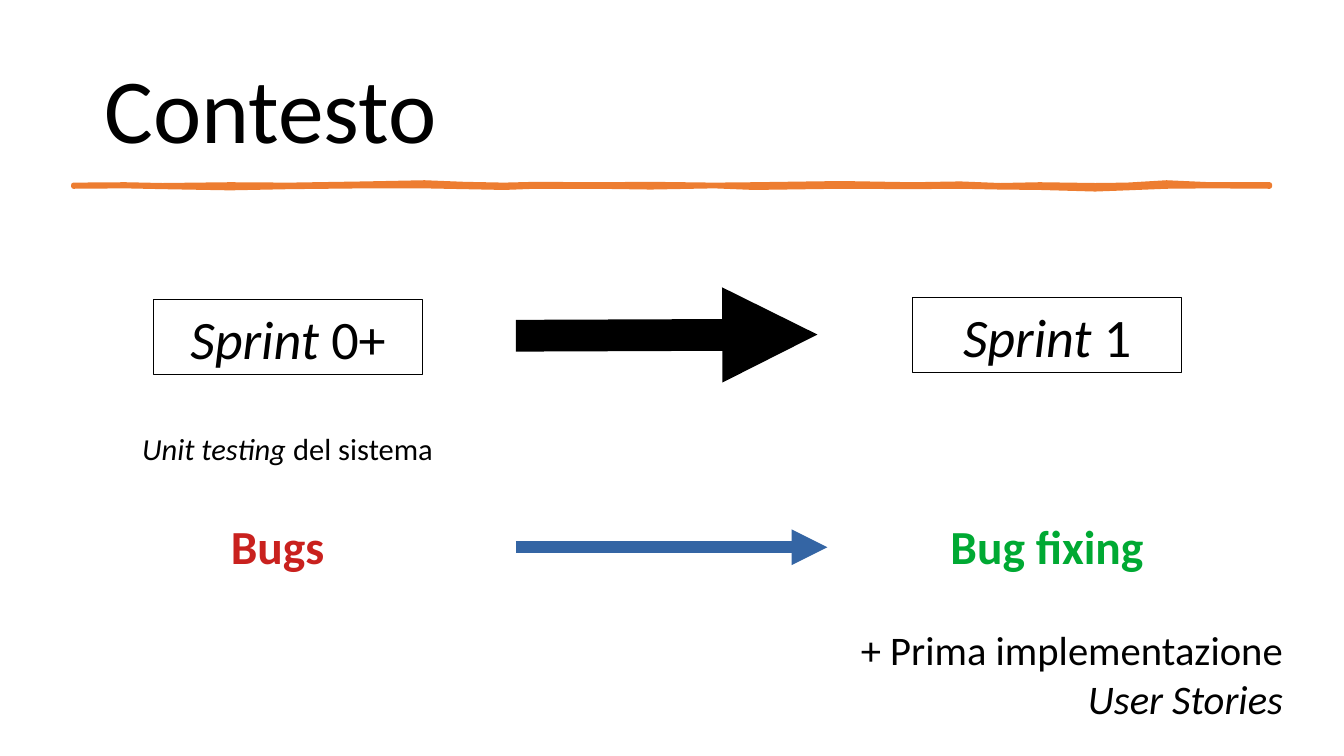
from lxml import etree
from pptx import Presentation
from pptx import util as u
from pptx.dml.color import RGBColor
from pptx.enum import shapes, text
from pptx.oxml.ns import qn

BLACK = RGBColor(0x00, 0x00, 0x00)
ORANGE = RGBColor(0xED, 0x7D, 0x31)
RED = RGBColor(0xC9, 0x21, 0x1E)
GREEN = RGBColor(0x00, 0xA9, 0x33)
BLUE = RGBColor(0x34, 0x65, 0xA4)

LEFT, CENTER, RIGHT = text.PP_ALIGN.LEFT, text.PP_ALIGN.CENTER, text.PP_ALIGN.RIGHT

# Hand-drawn rule under the title, in cm: x, upper edge, lower edge
WAVE = [
    (1.85, 4.66, 4.70), (3.15, 4.65, 4.69), (4.1, 4.67, 4.71), (5.8, 4.65, 4.74),
    (7.3, 4.66, 4.71), (9.2, 4.63, 4.69), (10.7, 4.60, 4.69), (11.7, 4.64, 4.71),
    (12.7, 4.66, 4.73), (13.5, 4.64, 4.70), (15.0, 4.65, 4.70), (16.4, 4.64, 4.72),
    (18.0, 4.66, 4.69), (19.0, 4.65, 4.73), (21.2, 4.62, 4.70), (23.0, 4.65, 4.71),
    (24.2, 4.63, 4.70), (25.2, 4.67, 4.72), (26.2, 4.65, 4.73), (27.6, 4.67, 4.77),
    (28.4, 4.66, 4.74), (29.4, 4.60, 4.70), (30.5, 4.65, 4.69), (32.0, 4.65, 4.70),
]


class Slide:
    """Current slide with its font and text margins."""

    font = "Calibri"
    margin_x, margin_y = u.Cm(0.3), u.Cm(0.15)

    def __init__(self, deck):
        self.shapes = deck.slides.add_slide(deck.slide_layouts[6]).shapes

    def put_text(self, box, parts, size, color, align, bold=False):
        """Fill a box with (text, italic) parts."""
        frame = box.text_frame
        frame.word_wrap = True
        frame.margin_left = frame.margin_right = self.margin_x
        frame.margin_top = frame.margin_bottom = self.margin_y
        frame.vertical_anchor = text.MSO_ANCHOR.TOP
        para = frame.paragraphs[0]
        para.alignment = align
        for words, italic in parts:
            span = para.add_run()
            span.text = words
            span.font.name = self.font
            span.font.size = u.Pt(size)
            span.font.color.rgb = color
            span.font.italic = italic
            span.font.bold = bold
        return frame

    def label(self, area, parts, size, color=BLACK, align=CENTER, bold=False):
        box = self.shapes.add_textbox(*map(u.Cm, area))
        return self.put_text(box, parts, size, color, align, bold)

    def sprint(self, left, top, number):
        box = self.shapes.add_shape(
            shapes.MSO_SHAPE.RECTANGLE, u.Cm(left), u.Cm(top), u.Cm(6.78), u.Cm(1.88))
        box.shadow.inherit = False
        box.fill.background()
        box.line.color.rgb = BLACK
        box.line.width = u.Pt(0.75)
        self.put_text(box, [("Sprint", True), (f" {number}", False)], 38.7, BLACK, CENTER)

    def arrow(self, start, end, color, width):
        arrow = self.shapes.add_connector(
            shapes.MSO_CONNECTOR.STRAIGHT, *map(u.Cm, start + end))
        arrow.line.color.rgb = color
        arrow.line.width = u.Pt(width)
        properties = arrow.element.spPr
        etree.SubElement(properties.find(qn("a:ln")), qn("a:tailEnd"), type="triangle")
        etree.SubElement(properties, qn("a:effectLst"))

    def wavy_rule(self, wave, color):
        upper = [(u.Cm(x), u.Cm(top)) for x, top, _ in wave]
        lower = [(u.Cm(x), u.Cm(bottom)) for x, _, bottom in reversed(wave)]
        builder = self.shapes.build_freeform(*upper[0])
        builder.add_line_segments(upper[1:] + lower, close=True)
        rule = builder.convert_to_shape()
        rule.shadow.inherit = False
        rule.fill.solid()
        rule.fill.fore_color.rgb = color
        rule.line.color.rgb = color
        rule.line.width = u.Pt(3.25)


def main():
    deck = Presentation()
    deck.slide_width, deck.slide_height = u.Cm(33.87), u.Cm(19.05)
    page = Slide(deck)

    title = page.label((2.34, 1.02, 29.21, 3.68), [("Contesto", False)], 65.3, align=LEFT)
    title.vertical_anchor = text.MSO_ANCHOR.MIDDLE
    title.paragraphs[0].line_spacing = 0.9
    page.wavy_rule(WAVE, ORANGE)

    page.sprint(3.87, 7.55, "0+")
    page.sprint(23, 7.5, "1")
    page.arrow((13, 8.46), (20.6, 8.43), BLACK, 22.68)

    page.label((2.41, 10.69, 9.68, 1.17),
               [("Unit testing", True), (" del sistema", False)], 21.8)
    page.label((4.83, 12.88, 4.34, 1.63), [("Bugs", False)], 33.9, RED, bold=True)
    page.label((23, 12.88, 6.78, 1.63), [("Bug fixing", False)], 33.9, GREEN, bold=True)
    page.arrow((13, 13.79), (20.85, 13.79), BLUE, 8.5)
    page.label((20.07, 15.6, 12.57, 2.59),
               [("+ Prima implementazione ", False), ("User Stories", True)], 29, align=RIGHT)

    deck.save("out.pptx")


if __name__ == "__main__":
    main()
